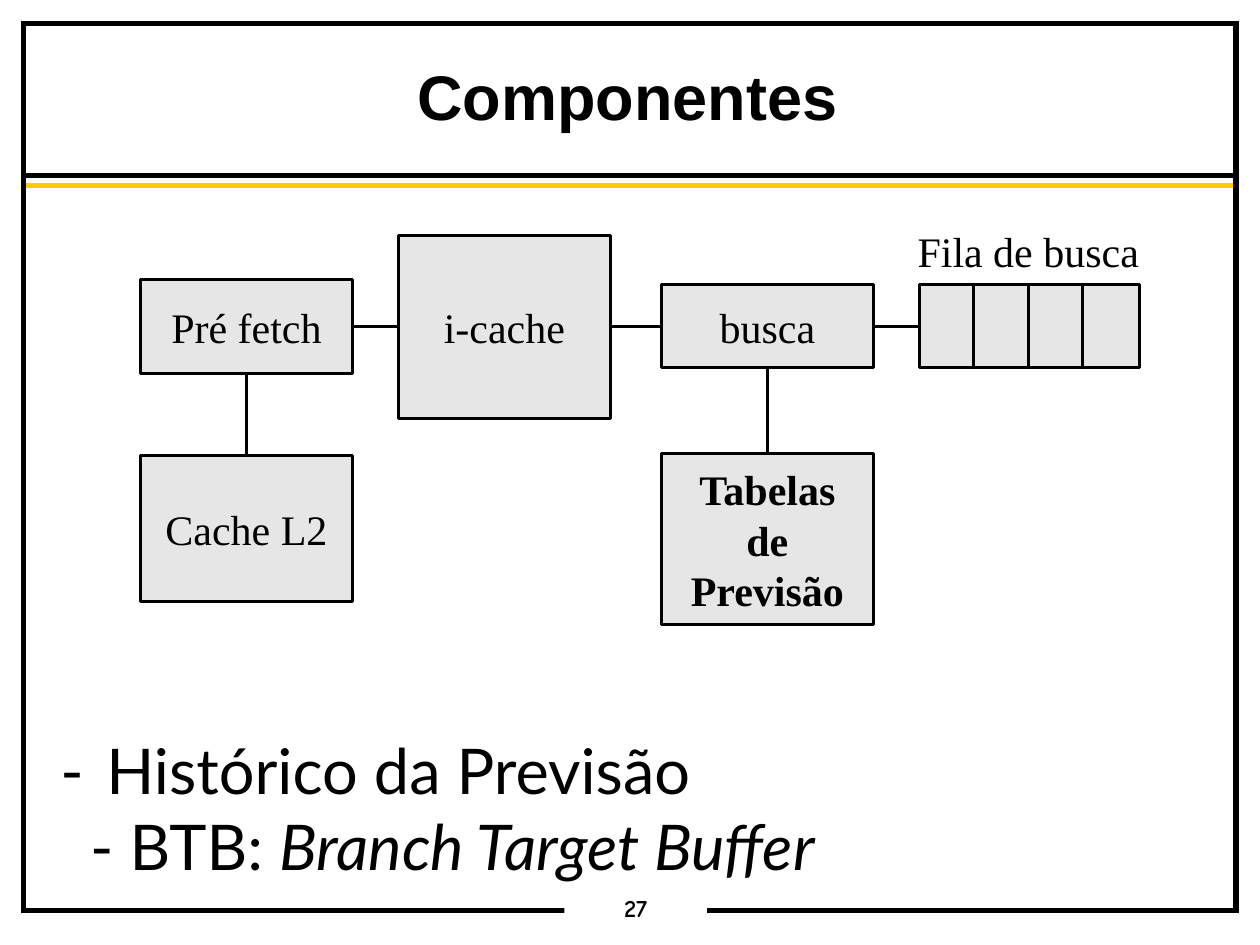
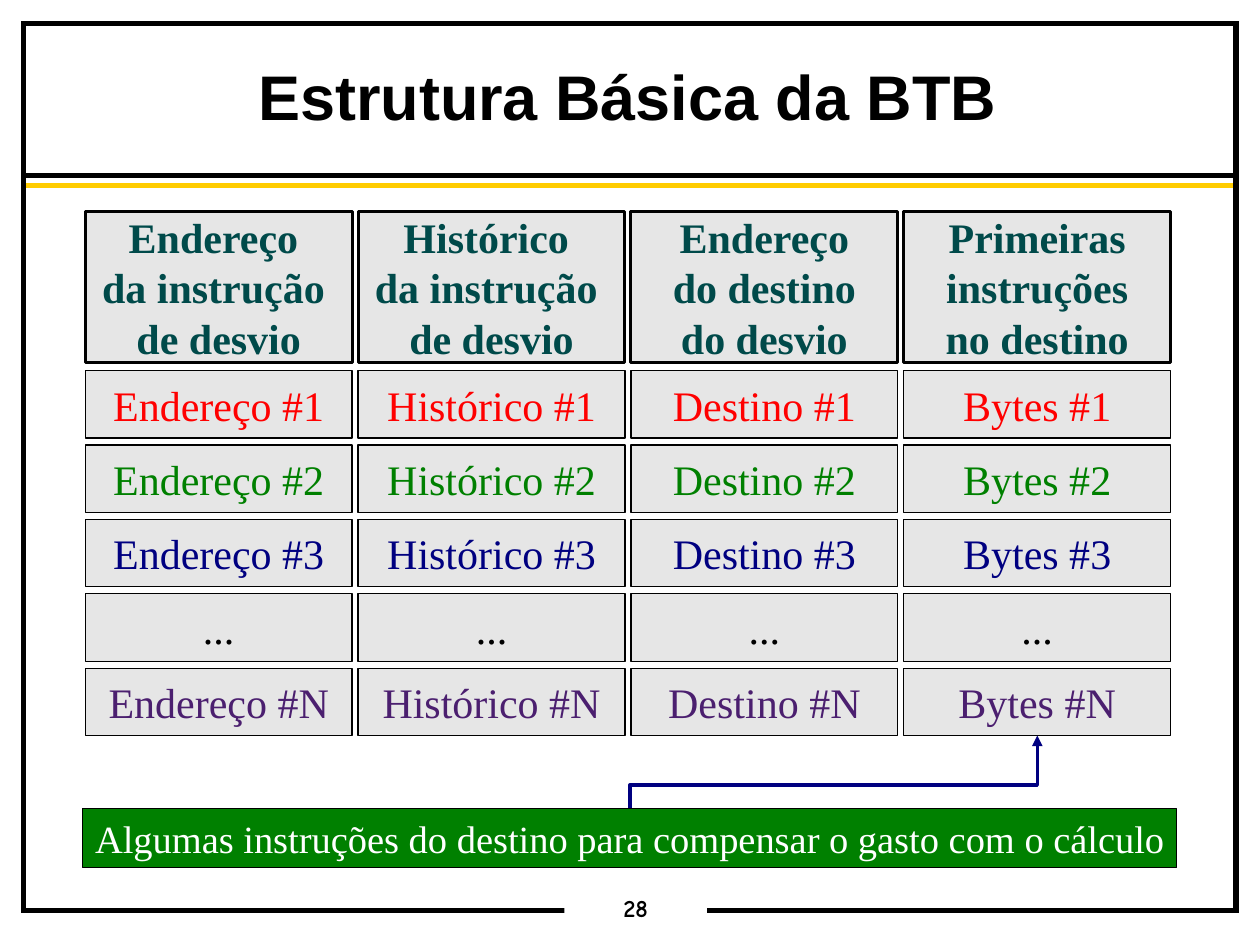
from dataclasses import dataclass, replace

from lxml import etree
from pptx import Presentation
from pptx import util as u
from pptx.dml.color import RGBColor
from pptx.enum import shapes, text
from pptx.oxml import ns

BLACK, WHITE, GOLD, GREY = "000000", "FFFFFF", "FFCC00", "E6E6E6"
RED, GREEN, NAVY, PURPLE, TEAL = "FF0000", "008000", "000080", "4B1F6F", "004A4A"
SERIF = "Times New Roman"
THIN, MID, THICK = 0, 1.7, 3


@dataclass(frozen=True)
class Style:
    font: str = SERIF
    size: float = 24
    color: str = BLACK
    bold: bool = False
    space: float = 1.0


@dataclass(frozen=True)
class Box:
    """A rectangle in centimetres; a line width of None means no outline."""
    left: float
    top: float
    width: float
    height: float
    words: str = ""
    style: Style = Style()
    fill: str | None = GREY
    line: float | None = MID

    @property
    def right(self) -> float:
        return self.left + self.width

    @property
    def base(self) -> float:
        return self.top + self.height

    @property
    def mid(self) -> float:
        return self.left + self.width / 2


TITLE = Style("Arial", 36, bold=True, space=0.95)
NUMBER = Style("Comic Neue", 14, bold=True, space=0.9)
BODY = Style("Lato", 36)
HEAD = Style(color=TEAL, bold=True)


def rgb(code: str) -> RGBColor:
    return RGBColor.from_string(code)


def add_xml(parent, tag: str, **attrs: str):
    return etree.SubElement(parent, ns.qn(tag), attrs)


def style_par(par, style: Style) -> None:
    font = par.font
    font.name, font.size, font.bold = style.font, u.Pt(style.size), style.bold
    font.color.rgb = rgb(style.color)
    par.line_spacing = style.space


def write(frame, words: str, style: Style) -> None:
    """Centre the words, with no side margins so that each line fits its box."""
    frame.word_wrap = False
    frame.margin_left = frame.margin_right = 0
    frame.vertical_anchor = text.MSO_ANCHOR.MIDDLE
    frame.text = words
    for par in frame.paragraphs:
        par.alignment = text.PP_ALIGN.CENTER
        style_par(par, style)


def place(box: Box) -> list[u.Cm]:
    return [u.Cm(n) for n in (box.left, box.top, box.width, box.height)]


def draw_box(slide, box: Box) -> None:
    shape = slide.shapes.add_shape(shapes.MSO_SHAPE.RECTANGLE, *place(box))
    shape.shadow.inherit = False
    if box.fill:
        shape.fill.solid()
        shape.fill.fore_color.rgb = rgb(box.fill)
    else:
        shape.fill.background()
    if box.line is None:
        shape.line.fill.background()
    else:
        shape.line.color.rgb = rgb(BLACK)
        shape.line.width = u.Pt(box.line)
    if box.line == THICK:
        add_xml(shape._element.spPr.find(ns.qn("a:ln")), "a:miter", lim="800000")
    if box.words:
        write(shape.text_frame, box.words, box.style)


def draw_text(slide, box: Box) -> None:
    write(slide.shapes.add_textbox(*place(box)).text_frame, box.words, box.style)


def draw_line(slide, x1: float, y1: float, x2: float, y2: float,
              color: str = BLACK, width: float = MID,
              kind=shapes.MSO_CONNECTOR.STRAIGHT):
    line = slide.shapes.add_connector(kind, u.Cm(x1), u.Cm(y1), u.Cm(x2), u.Cm(y2))
    line.line.color.rgb = rgb(color)
    line.line.width = u.Pt(width)
    add_xml(line._element.spPr, "a:effectLst")
    return line


def draw_elbow(slide, x1: float, y1: float, x2: float, y2: float, bend: float) -> None:
    """Arrow that goes up, right and up again; bend is the share of the first rise."""
    x, y = (x1 + x2) / 2, (y1 + y2) / 2
    rise, run = (y1 - y2) / 2, (x2 - x1) / 2
    line = draw_line(slide, x + rise, y + run, x - rise, y - run, NAVY, 2,
                     shapes.MSO_CONNECTOR.ELBOW)
    prop = line._element.spPr
    prop.find(ns.qn("a:xfrm")).set("rot", str(90 * 60000))
    guides = prop.find(ns.qn("a:prstGeom")).find(ns.qn("a:avLst"))
    add_xml(guides, "a:gd", name="adj1", fmla=f"val {round(bend * 100000)}")
    add_xml(prop.find(ns.qn("a:ln")), "a:tailEnd", type="triangle")


def add_slide(deck, title: str, number: int):
    """Blank slide with the shared rules, frame, page number and title."""
    slide = deck.slides.add_slide(deck.slide_layouts[6])
    for y, color in ((3.54, BLACK), (3.74, GOLD)):
        draw_line(slide, 0.5, y, 24.96, y, color, THICK)
    draw_box(slide, Box(0.48, 0.48, 24.44, 17.88, fill=None, line=THICK))
    draw_box(slide, Box(11.38, 18, 2.87, 0.68, str(number), NUMBER, WHITE, None))
    draw_text(slide, Box(0.4, 0.6, 24.5, 2.8, title, TITLE))
    return slide


def draw_notes(slide) -> None:
    frame = slide.shapes.add_textbox(*place(Box(0.97, 14.43, 21.6, 3.7))).text_frame
    frame.word_wrap = True
    frame.vertical_anchor = text.MSO_ANCHOR.MIDDLE
    par = frame.paragraphs[0]
    par.text = " Histórico da Previsão\v- BTB: "
    run = par.add_run()
    run.text = "Branch Target Buffer"
    run.font.italic = True
    prop = par._p.get_or_add_pPr()
    indent = u.Cm(0.6)
    prop.set("marL", str(indent))
    prop.set("indent", str(-indent))
    add_xml(prop, "a:buFont", typeface=BODY.font)
    add_xml(prop, "a:buChar", char="-")
    style_par(par, BODY)


def parts_slide(deck) -> None:
    slide = add_slide(deck, "Componentes", 27)
    draw_notes(slide)

    wide, axis = 4.28, 6.58
    level2 = Box(2.83, 9.18, wide, 2.95, "Cache L2")
    pre = Box(2.83, 5.64, wide, 1.9, "Pré fetch")
    cache = Box(8.03, 4.75, wide, 3.68, "i-cache")
    fetch = Box(13.33, 5.74, wide, 1.68, "busca")
    tables = Box(13.33, 9.15, wide, 3.45, "Tabelas\vde\vPrevisão", Style(bold=True))
    queue = [Box(18.53 + 1.1 * i, fetch.top, 1.14, fetch.height) for i in range(4)]
    for box in (level2, pre, cache, fetch, tables, *queue):
        draw_box(slide, box)
    draw_text(slide, Box(18.34, 4.22, 4.78, 1.68, "Fila de busca"))

    chain = [pre, cache, fetch, queue[0]]
    for a, b in zip(chain, chain[1:]):
        draw_line(slide, a.right, axis, b.left, axis)
    for low, high in ((level2, pre), (tables, fetch)):
        draw_line(slide, low.mid, low.top, high.mid, high.base)


def table_slide(deck) -> None:
    slide = add_slide(deck, "Estrutura Básica da BTB", 28)
    cols = (
        ("Endereço", "Endereço \vda instrução \nde desvio"),
        ("Histórico", "Histórico \vda instrução \nde desvio"),
        ("Destino", "Endereço\vdo destino\vdo desvio"),
        ("Bytes", "Primeiras\vinstruções\vno destino"),
    )
    rows = (("#1", RED), ("#2", GREEN), ("#3", NAVY), ("", BLACK), ("#N", PURPLE))
    for i, (name, head) in enumerate(cols):
        top = Box(1.72 + 5.5 * i, 4.26, 5.38, 3.05, head, HEAD)
        draw_box(slide, top)
        for j, (mark, color) in enumerate(rows):
            words = f"{name} {mark}" if mark else "..."
            cell = replace(top, top=7.47 + 1.5 * j, height=1.36, words=words,
                           style=Style(color=color), line=THIN)
            draw_box(slide, cell)

    note = Box(1.67, 16.3, 22.05, 1.19,
               "Algumas instruções do destino para compensar o gasto com o cálculo",
               Style(size=22, color=WHITE), GREEN, THIN)
    draw_box(slide, note)
    draw_elbow(slide, note.mid, note.top, cell.mid, cell.base, 0.32)


def main() -> None:
    deck = Presentation()
    deck.slide_width, deck.slide_height = u.Cm(25.4), u.Cm(19.05)
    parts_slide(deck)
    table_slide(deck)
    deck.save("out.pptx")


if __name__ == "__main__":
    main()
